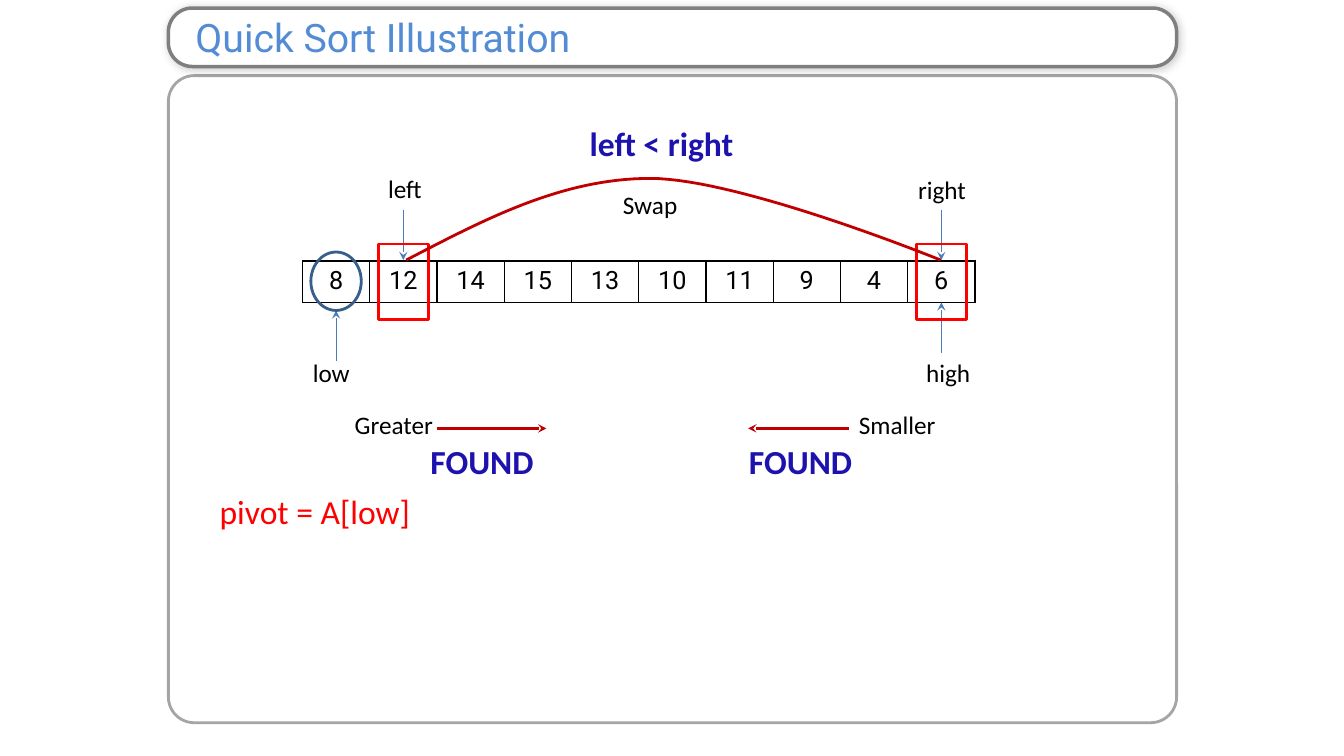
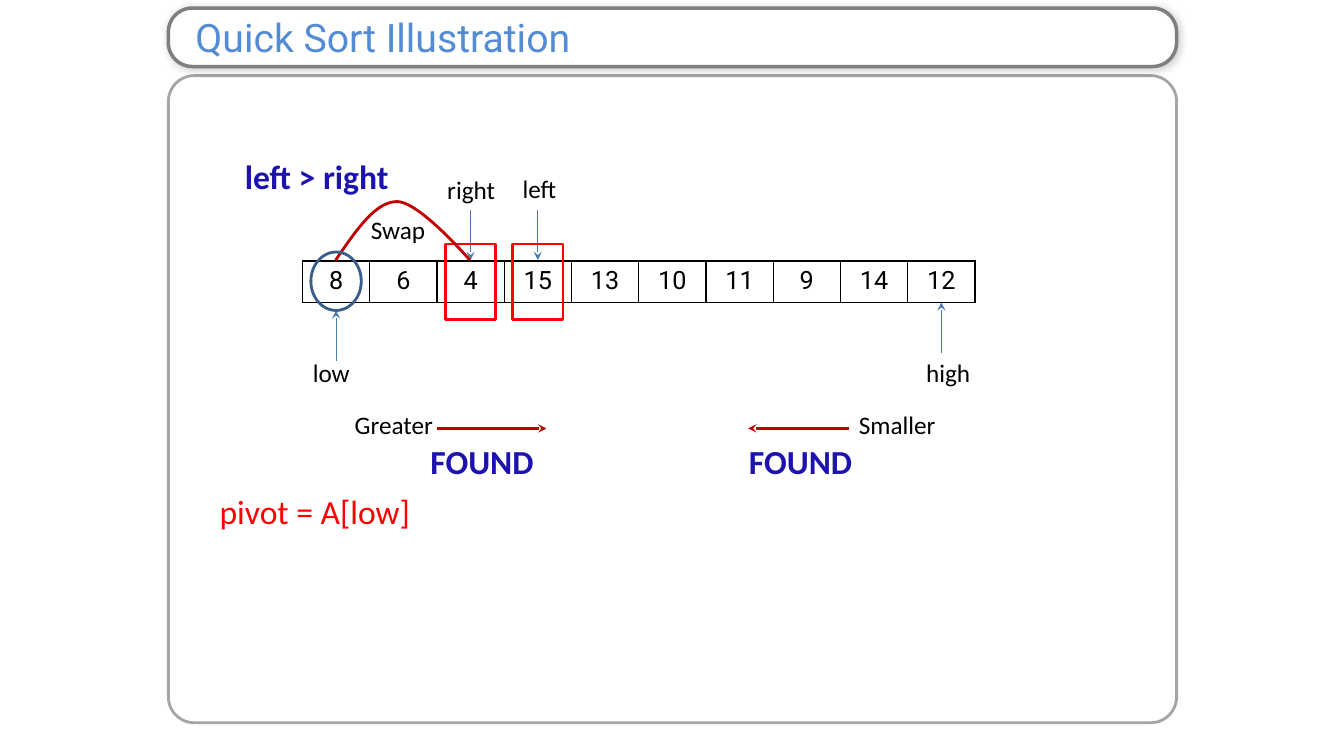
from lxml import etree
from pptx import Presentation
from pptx.dml.color import RGBColor
from pptx.enum.shapes import MSO_CONNECTOR as Connector, MSO_SHAPE as Shape
from pptx.enum.text import MSO_ANCHOR as Anchor, MSO_AUTO_SIZE as AutoSize, PP_ALIGN as Align
from pptx.oxml.ns import qn
from pptx.util import Inches, Pt

COLORS = {
    "white": "FFFFFF", "black": "000000", "title": "538CD5", "title_line": "7F7F7F",
    "panel_line": "A5A5A5", "pointer": "4A7DBA", "pivot": "395E89",
    "red": "FF0000", "move": "C00000", "status": "1D12AE",
}
FONTS = {
    "title": {"name": "Roboto", "size": Pt(28), "color": "title"},
    "value": {"name": "Roboto", "size": Pt(18), "color": "black"},
    "label": {"name": "Calibri", "size": Pt(18), "color": "black"},
    "status": {"name": "Calibri", "size": Pt(24), "bold": True, "color": "status"},
    "pivot": {"name": "Calibri", "size": Pt(24), "color": "red"},
}
TITLE_FRAME = {
    "margin_left": Inches(0.2), "margin_right": Inches(0.1), "margin_top": 0,
    "margin_bottom": 0, "vertical_anchor": Anchor.MIDDLE, "word_wrap": True,
}
LABEL_FRAME = {"word_wrap": True, "auto_size": AutoSize.SHAPE_TO_FIT_TEXT}
ARRAY_LEFT, ARRAY_TOP, ARRAY_WIDTH, ARRAY_HEIGHT = 3, 2.59, 6.67, 0.41
CELL_COUNT = 10
CELL_WIDTH = ARRAY_WIDTH / CELL_COUNT
CURVE_STEPS = 32


def set_all(target, values):
    for name, value in values.items():
        setattr(target, name, value)


def color(name):
    return RGBColor.from_string(COLORS[name])


def cell_center(index):
    return ARRAY_LEFT + (index + 0.5) * CELL_WIDTH


def bezier(start, first, second, end):
    for step in range(1, CURVE_STEPS + 1):
        t = step / CURVE_STEPS
        weights = ((1 - t) ** 3, 3 * t * (1 - t) ** 2, 3 * t * t * (1 - t), t ** 3)
        yield tuple(sum(weight * point[axis] for weight, point in
                        zip(weights, (start, first, second, end))) for axis in (0, 1))


class SortDeck:
    def __init__(self):
        self.presentation = Presentation()
        set_all(self.presentation, {"slide_width": Inches(13.33), "slide_height": Inches(7.5)})
        self.slide = None

    def styled_run(self, paragraph, text, style):
        run = paragraph.add_run()
        run.text = text
        values = dict(FONTS[style])
        run.font.color.rgb = color(values.pop("color"))
        set_all(run.font, values)

    def outline(self, shape, line_color, width):
        shape.line.color.rgb = color(line_color)
        shape.line.width = Pt(width)

    def shape(self, kind, left, top, width, height, line_color, line_width=2, fill=None):
        shape = self.slide.shapes.add_shape(
            kind, Inches(left), Inches(top), Inches(width), Inches(height))
        shape.shadow.inherit = False
        if fill:
            shape.fill.solid()
            shape.fill.fore_color.rgb = color(fill)
        else:
            shape.fill.background()
        self.outline(shape, line_color, line_width)
        return shape

    def soft_shadow(self, shape):
        effects = shape._element.spPr.find(qn("a:effectLst"))
        shadow = etree.SubElement(effects, qn("a:outerShdw"), blurRad=str(Pt(6)),
                                  dist=str(Pt(1)), dir="2700000", algn="tl", rotWithShape="0")
        tint = etree.SubElement(shadow, qn("a:srgbClr"), val=COLORS["black"])
        etree.SubElement(tint, qn("a:alpha"), val="20000")

    def add_slide(self, title):
        self.slide = self.presentation.slides.add_slide(self.presentation.slide_layouts[6])
        panel = self.shape(Shape.ROUNDED_RECTANGLE, 1.67, 0.75, 10, 6.42, "panel_line")
        panel.adjustments[0] = 0.04
        band = self.shape(Shape.ROUNDED_RECTANGLE, 1.67, 0.08, 10, 0.58,
                          "title_line", 2.5, "white")
        band.adjustments[0] = 0.41
        self.soft_shadow(band)
        set_all(band.text_frame, TITLE_FRAME)
        paragraph = band.text_frame.paragraphs[0]
        paragraph.alignment = Align.LEFT
        self.styled_run(paragraph, title, "title")

    def text(self, text, left, top, width, height=0.4, style="label"):
        box = self.slide.shapes.add_textbox(
            Inches(left), Inches(top), Inches(width), Inches(height))
        set_all(box.text_frame, LABEL_FRAME)
        self.styled_run(box.text_frame.paragraphs[0], text, style)

    def arrow(self, start, end, line_color="pointer", width=0.75):
        arrow = self.slide.shapes.add_connector(
            Connector.STRAIGHT, *(Inches(value) for value in (*start, *end)))
        self.outline(arrow, line_color, width)
        etree.SubElement(arrow.line._get_or_add_ln(), qn("a:tailEnd"), type="stealth")
        etree.SubElement(arrow._element.spPr, qn("a:effectLst"))

    def border(self, cell):
        properties = cell._tc.get_or_add_tcPr()
        for position, side in enumerate("LRTB"):
            line = etree.Element(qn(f"a:ln{side}"), w=str(Pt(1)))
            fill = etree.SubElement(line, qn("a:solidFill"))
            etree.SubElement(fill, qn("a:srgbClr"), val=COLORS["black"])
            properties.insert(position, line)

    def array(self, values):
        table = self.slide.shapes.add_table(
            1, CELL_COUNT, Inches(ARRAY_LEFT), Inches(ARRAY_TOP),
            Inches(ARRAY_WIDTH), Inches(ARRAY_HEIGHT)).table
        set_all(table, {"first_row": False, "horz_banding": False})
        for cell, value in zip(table.iter_cells(), values):
            cell.fill.background()
            self.border(cell)
            paragraph = cell.text_frame.paragraphs[0]
            paragraph.alignment = Align.CENTER
            self.styled_run(paragraph, str(value), "value")

    def pointer(self, name, index, start, end, label_offset, label_top):
        center = cell_center(index)
        self.arrow((center, start), (center, end))
        self.text(name, center - label_offset, label_top, 0.75)

    def highlight(self, index):
        self.shape(Shape.RECTANGLE, cell_center(index) - 0.25, 2.42, 0.5, 0.75, "red")

    def swap_curve(self, start, rise, approach, peak, leave, end):
        points = [*bezier(start, rise, approach, peak), *bezier(peak, leave, end, end)]
        builder = self.slide.shapes.build_freeform(Inches(start[0]), Inches(start[1]))
        builder.add_line_segments([(Inches(x), Inches(y)) for x, y in points], close=False)
        curve = builder.convert_to_shape()
        curve.shadow.inherit = False
        curve.fill.background()
        self.outline(curve, "move", 2)

    def partition_step(self, values, left, right, curve, swap_at, status, status_at):
        self.add_slide("Quick Sort Illustration")
        self.array(values)
        self.pointer("low", 0, 3.58, 3.08, 0.33, 3.5)
        self.pointer("high", CELL_COUNT - 1, 3.5, 3, 0.25, 3.5)
        self.pointer("right", right, 2.08, 2.58, 0.33, 1.68)
        self.pointer("left", left, 2.08, 2.58, 0.25, 1.67)
        self.text("pivot = A[low]", 2.08, 4.82, 2.67, 0.5, "pivot")
        self.text("Greater", 3.42, 4.01, 1)
        self.text("Smaller", 8.42, 4.01, 1.17)
        for start, end in ((4.33, 5.42), (8.42, 7.42)):
            self.arrow((start, 4.25), (end, 4.25), "move", 2)
        for index in (left, right):
            self.highlight(index)
        self.swap_curve(*curve)
        self.text("Swap", *swap_at, 1)
        for found_left in (4.17, 7.33):
            self.text("FOUND", found_left, 4.33, 1.25, 0.5, "status")
        self.text(status, *status_at, 2.17, 0.5, "status")
        self.shape(Shape.OVAL, cell_center(0) - 0.25, 2.5, 0.5, 0.58, "pivot")


def main():
    deck = SortDeck()
    deck.partition_step(
        values=(8, 12, 14, 15, 13, 10, 11, 9, 4, 6), left=1, right=9,
        curve=((4.03, 2.58), (4.8, 2.18), (5.57, 1.77), (6.45, 1.77),
               (7.34, 1.77), (9.33, 2.58)),
        swap_at=(6.08, 1.83), status="left < right", status_at=(5.75, 1.17))
    deck.partition_step(
        values=(8, 6, 4, 15, 13, 10, 11, 9, 14, 12), left=3, right=2,
        curve=((3.33, 2.58), (3.53, 2.29), (3.72, 2), (3.94, 2),
               (4.16, 2), (4.66, 2.58)),
        swap_at=(3.58, 2.08), status="left > right", status_at=(2.33, 1.5))
    deck.presentation.save("out.pptx")


if __name__ == "__main__":
    main()
